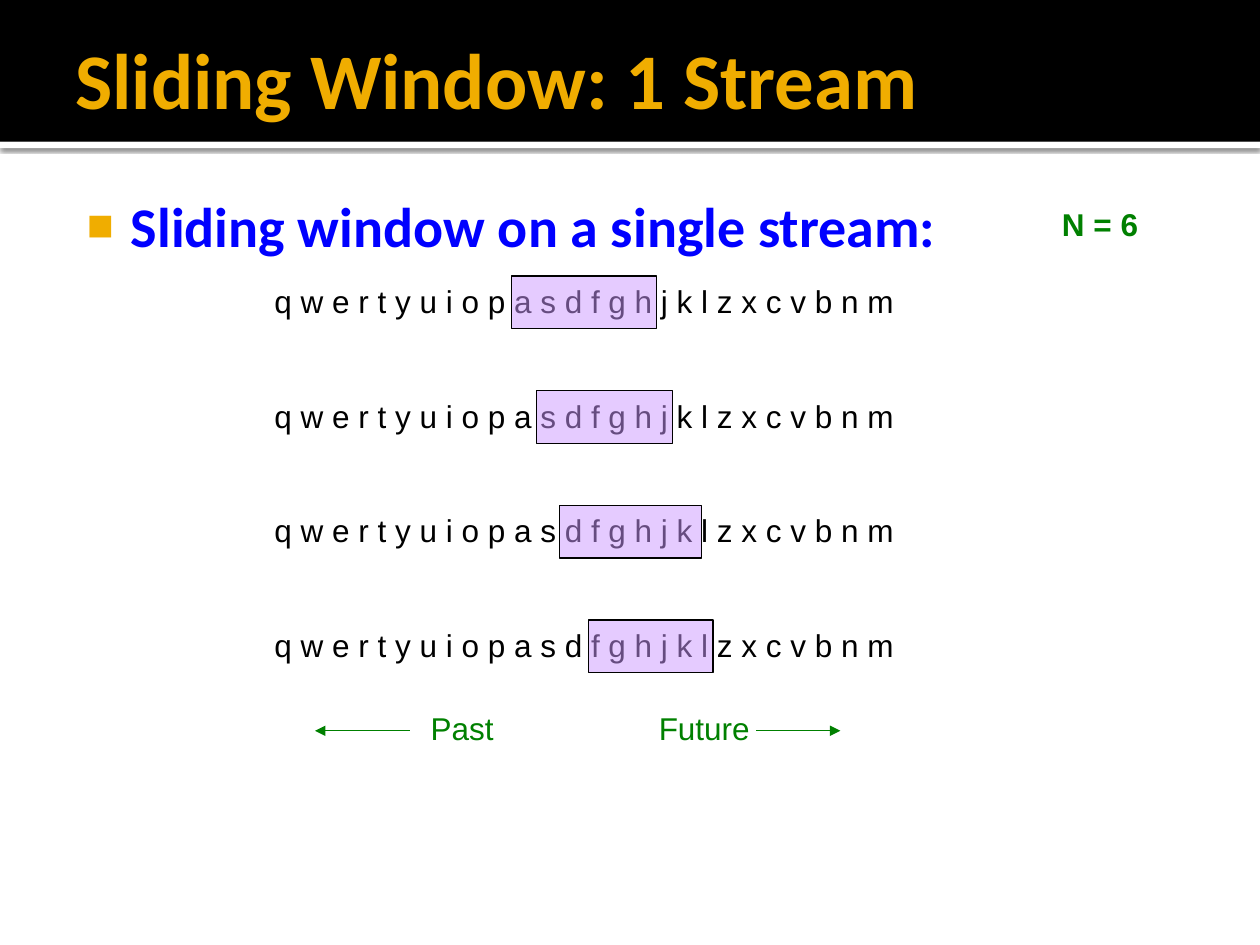
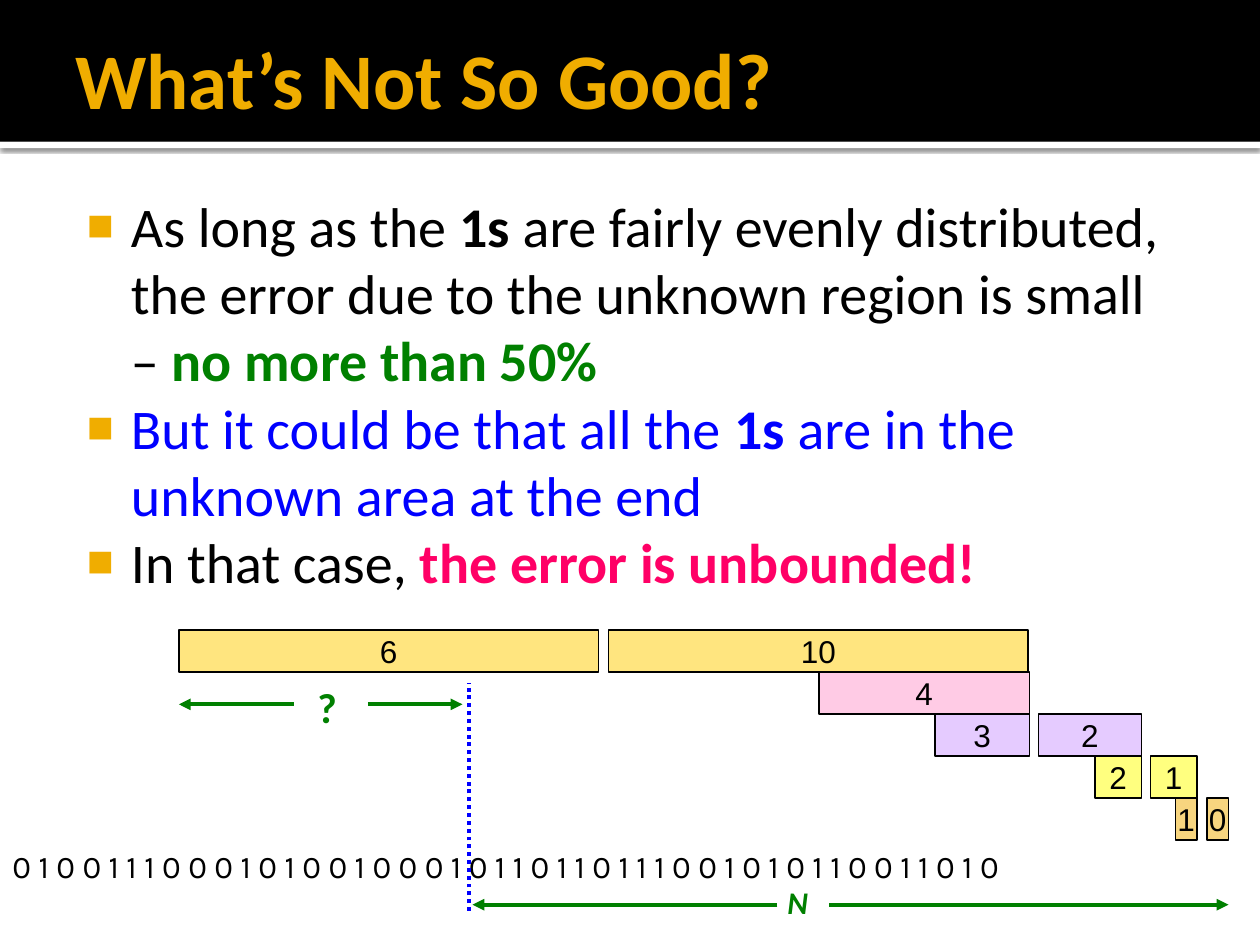
"""Build two slides about sliding windows over streams."""
from lxml import etree
from pptx import Presentation
from pptx.dml.color import RGBColor
from pptx.enum.dml import MSO_LINE
from pptx.enum.shapes import MSO_CONNECTOR, MSO_SHAPE
from pptx.enum.text import MSO_ANCHOR, MSO_AUTO_SIZE, PP_ALIGN
from pptx.oxml.ns import qn
from pptx.util import Inches, Pt

RECTANGLE = MSO_SHAPE.RECTANGLE
STRAIGHT = MSO_CONNECTOR.STRAIGHT
MIDDLE = MSO_ANCHOR.MIDDLE
CENTER = PP_ALIGN.CENTER
FIT_SHAPE = MSO_AUTO_SIZE.SHAPE_TO_FIT_TEXT
ROUND_DOT = MSO_LINE.ROUND_DOT

BLACK = RGBColor(0x00, 0x00, 0x00)
WHITE = RGBColor(0xFF, 0xFF, 0xFF)
GOLD = RGBColor(0xF0, 0xAD, 0x00)
BLUE = RGBColor(0x00, 0x00, 0xFF)
GREEN = RGBColor(0x00, 0x80, 0x00)
RED = RGBColor(0xFF, 0x00, 0x66)
VIOLET = RGBColor(0xCC, 0x99, 0xFF)
PINK = RGBColor(0xFF, 0x99, 0xCC)
YELLOW = RGBColor(0xFF, 0xFF, 0x00)
AMBER = RGBColor(0xFF, 0xCC, 0x00)

WIDTH, HEIGHT = 10, 7.5
BAND_HEIGHT = 0.15 * HEIGHT
HEADING_FONT, LABEL_FONT, BITS_FONT = "Calibri", "Arial", "Karla"

STREAM_TITLE = "Sliding Window: 1 Stream"
STREAM_BODY = [[("Sliding window on a single stream:", BLUE, True)]]
STREAM = "qwertyuiopasdfghjklzxcvbnm"
STREAM_LEFT, STREAM_TOP, STREAM_STEP = 2.08, 2.19, 0.91
WINDOWS = [(4.06, 1.15), (4.26, 1.08), (4.44, 1.13), (4.67, 0.99)]
WINDOW_HEIGHT = 0.42
STREAM_LABELS = [
    ("Past", 3.32, 5.58, 0.7, False),
    ("Future", 5.13, 5.58, 0.95, False),
    ("N = 6", 8.33, 1.58, 0.81, True),
]
TIME_Y = 5.8
TIME_ARROWS = [(3.25, 2.5), (6, 6.67)]

ERROR_TITLE = "What’s Not So Good?"
ERROR_BODY = [
    [
        ("As long as the ", BLACK, False),
        ("1s", BLACK, True),
        (" are fairly evenly distributed, the error due to the unknown region is small – ",
         BLACK, False),
        ("no more than 50%", GREEN, True),
    ],
    [
        ("But it could be that all the ", BLUE, False),
        ("1s", BLUE, True),
        (" are in the unknown area at the end", BLUE, False),
    ],
    [("In that case, ", BLACK, False), ("the error is unbounded!", RED, True)],
]
BITS = "010011100010100100010110110111001010110011010"
BUCKET_TOP, BUCKET_HEIGHT = 5, 1 / 3
BUCKET_ROWS = [
    (AMBER, [("6", 1.42, 3.33), ("10", 4.83, 3.33)]),
    (PINK, [("4", 6.5, 1.67)]),
    (VIOLET, [("3", 7.42, 0.75), ("2", 8.24, 0.82)]),
    (YELLOW, [("2", 8.69, 0.37), ("1", 9.13, 0.37)]),
    (GOLD, [("1", 9.33, 0.17), ("0", 9.58, 0.17)]),
]
UNKNOWN_Y, WINDOW_Y, BOUNDARY_X = 5.59, 7.18, 3.72
SPAN_ARROWS = [
    (6.17, 3.75, WINDOW_Y), (6.58, 9.75, WINDOW_Y),
    (2.33, 1.42, UNKNOWN_Y), (2.92, 3.67, UNKNOWN_Y),
]


def add_element(parent, tag, **attributes):
    element = etree.SubElement(parent, qn(tag))
    for name, value in attributes.items():
        element.set(name, str(value))
    return element


def format_run(run, size, color, font=LABEL_FONT, bold=False, italic=False):
    run.font.name, run.font.size = font, Pt(size)
    run.font.bold, run.font.italic = bold, italic
    run.font.color.rgb = color


def add_rectangle(slide, area, fill, outline=None, alpha=None):
    shape = slide.shapes.add_shape(RECTANGLE, *map(Inches, area))
    shape.shadow.inherit = False
    shape.fill.solid()
    shape.fill.fore_color.rgb = fill
    if alpha:
        color = shape.fill._xPr.find(qn("a:solidFill"))[0]
        add_element(color, "a:alpha", val=alpha * 1000)
    if outline is None:
        shape.line.fill.background()
    else:
        shape.line.color.rgb = outline
        shape.line.width = Pt(0.75)
    return shape


def add_label(slide, text, left, top, width, size=18, color=BLACK, **style):
    box = slide.shapes.add_textbox(*map(Inches, (left, top, width, size / 45)))
    frame = box.text_frame
    frame.word_wrap = False
    frame.auto_size = FIT_SHAPE
    frame.text = text
    format_run(frame.paragraphs[0].runs[0], size, color, **style)


def add_line(slide, start, end, color, width, arrow=True):
    line = slide.shapes.add_connector(STRAIGHT, *map(Inches, (*start, *end)))
    line.line.color.rgb = color
    line.line.width = Pt(width)
    if arrow:
        add_element(line.line._get_or_add_ln(), "a:tailEnd", type="triangle")
    else:
        line.line.dash_style = ROUND_DOT
    add_element(line._element.spPr, "a:effectLst")


def add_frame(slide, area, insets):
    frame = slide.shapes.add_textbox(*map(Inches, area)).text_frame
    frame.word_wrap = True
    (frame.margin_left, frame.margin_top,
     frame.margin_right, frame.margin_bottom) = map(Inches, insets)
    return frame


def add_bullet(paragraph):
    properties = paragraph._p.get_or_add_pPr()
    properties.set("marL", str(Inches(0.48)))
    properties.set("indent", str(Inches(-0.35)))
    add_element(add_element(properties, "a:buClr"), "a:srgbClr", val=GOLD)
    add_element(properties, "a:buSzPct", val=80000)
    add_element(properties, "a:buFont", typeface=LABEL_FONT)
    add_element(properties, "a:buChar", char="■")


def add_base_slide(presentation, title, body):
    slide = presentation.slides.add_slide(presentation.slide_layouts[6])
    stripe = add_rectangle(slide, (0, BAND_HEIGHT, WIDTH, 0.05), WHITE)
    effects = stripe._element.spPr.find(qn("a:effectLst"))
    shadow = add_element(effects, "a:outerShdw", blurRad=Pt(2.5), dist=Pt(0.8),
                         dir=90 * 60000, algn="tl", rotWithShape=0)
    add_element(add_element(shadow, "a:srgbClr", val=BLACK), "a:alpha", val=60000)
    add_rectangle(slide, (0, 0, WIDTH, BAND_HEIGHT), BLACK)

    frame = add_frame(slide, (0.5, 0.08, 9, 1.08), (0.1, 0.05, 0.05, 0.05))
    frame.vertical_anchor = MIDDLE
    frame.text = title
    format_run(frame.paragraphs[0].runs[0], 45, GOLD, HEADING_FONT, True)

    frame = add_frame(slide, (0.5, 1.42, 9, 5.75), (0.06, 0.1, 0.1, 0.05))
    for index, runs in enumerate(body):
        paragraph = frame.add_paragraph() if index else frame.paragraphs[0]
        add_bullet(paragraph)
        for text, color, bold in runs:
            run = paragraph.add_run()
            run.text = text
            format_run(run, 32, color, HEADING_FONT, bold)
    return slide


def build_stream_slide(presentation):
    slide = add_base_slide(presentation, STREAM_TITLE, STREAM_BODY)
    for row, (left, width) in enumerate(WINDOWS):
        top = STREAM_TOP + row * STREAM_STEP
        add_label(slide, " ".join(STREAM), STREAM_LEFT, top, 5.34)
        add_rectangle(slide, (left, top, width, WINDOW_HEIGHT), VIOLET, BLACK, 50)
    for text, left, top, width, bold in STREAM_LABELS:
        add_label(slide, text, left, top, width, color=GREEN, bold=bold)
    for start, end in TIME_ARROWS:
        add_line(slide, (start, TIME_Y), (end, TIME_Y), GREEN, 0.75)


def build_error_slide(presentation):
    slide = add_base_slide(presentation, ERROR_TITLE, ERROR_BODY)
    add_label(slide, " ".join(BITS), 0, 6.67, 9.81, font=BITS_FONT)
    for row, (color, buckets) in enumerate(BUCKET_ROWS):
        top = BUCKET_TOP + row * BUCKET_HEIGHT
        for text, left, width in buckets:
            bucket = add_rectangle(slide, (left, top, width, BUCKET_HEIGHT),
                                   color, BLACK, 50)
            frame = bucket.text_frame
            frame.word_wrap = False
            frame.vertical_anchor = MIDDLE
            frame.text = text
            frame.paragraphs[0].alignment = CENTER
            format_run(frame.paragraphs[0].runs[0], 18, BLACK)
    add_label(slide, "N", 6.15, 6.96, 0.38, color=GREEN,
              font=HEADING_FONT, bold=True, italic=True)
    add_label(slide, "?", 2.42, 5.36, 0.35, 24, GREEN, font=HEADING_FONT, bold=True)
    for start, end, y in SPAN_ARROWS:
        add_line(slide, (start, y), (end, y), GREEN, 2.25)
    add_line(slide, (BOUNDARY_X, 7.23), (BOUNDARY_X, 5.42), BLUE, 2.25, arrow=False)


def main():
    presentation = Presentation()
    presentation.slide_width, presentation.slide_height = Inches(WIDTH), Inches(HEIGHT)
    build_stream_slide(presentation)
    build_error_slide(presentation)
    presentation.save("out.pptx")


if __name__ == "__main__":
    main()
